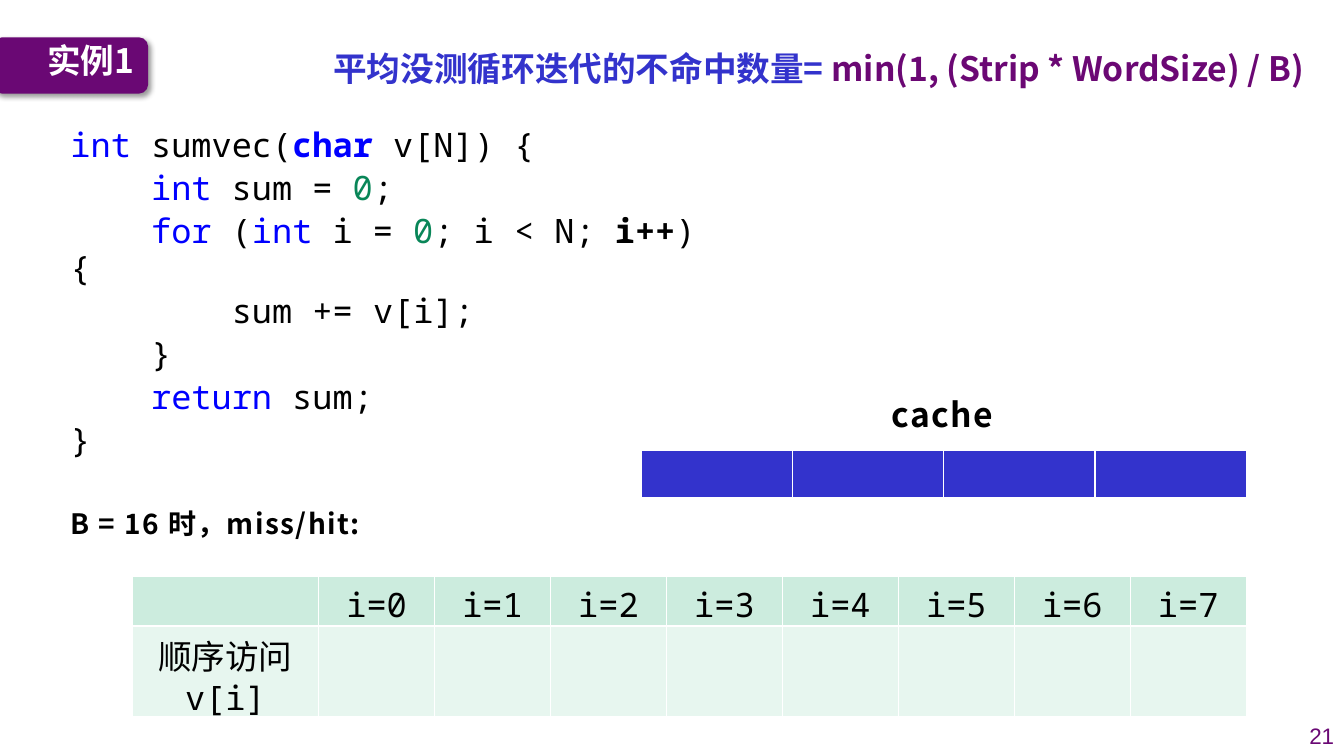
from typing import NamedTuple

from lxml import etree
from pptx import Presentation
from pptx.dml.color import RGBColor
from pptx.enum.shapes import MSO_SHAPE
from pptx.enum.text import MSO_ANCHOR, PP_ALIGN
from pptx.oxml.ns import qn
from pptx.util import Inches, Pt

ROUND = MSO_SHAPE.ROUNDED_RECTANGLE
TOP, MIDDLE = MSO_ANCHOR.TOP, MSO_ANCHOR.MIDDLE
LEFT, CENTER, RIGHT = PP_ALIGN.LEFT, PP_ALIGN.CENTER, PP_ALIGN.RIGHT
SANS, MONO, ARIAL = "Noto Sans CJK SC", "Noto Sans Mono", "Arial"
BLACK, WHITE, PURPLE, NAVY = "000000", "FFFFFF", "6A0874", "3333CC"
BLUE, GREEN = "0000FF", "098658"
MINT, PALE = "CCECDE", "E7F6EF"


class Run(NamedTuple):
    text: str
    color: str = BLACK
    bold: bool = False


class Box(NamedTuple):
    left: float
    top: float
    width: float
    height: float


Line = list[Run]

CODE: list[Line] = [
    [Run("int ", BLUE), Run("sumvec("), Run("char", BLUE, True), Run(" v[N]) {")],
    [Run("    int", BLUE), Run(" sum = "), Run("0", GREEN), Run(";")],
    [Run("    for", BLUE), Run(" ("), Run("int ", BLUE), Run("i = "),
     Run("0", GREEN), Run("; i < N; "), Run("i++", bold=True), Run(") {")],
    [Run("        sum += v[i];")],
    [Run("    }")],
    [Run("    return", BLUE), Run(" sum;")],
    [Run("}")],
]


def rgb(color: str) -> RGBColor:
    return RGBColor.from_string(color)


def write(frame, lines: list[Line], *, size: float = 24, font: str = SANS,
          align=LEFT, space: float = 0, pitch: float = 0.9) -> None:
    for i, line in enumerate(lines):
        para = frame.paragraphs[0] if i == 0 else frame.add_paragraph()
        para.alignment = align
        para.line_spacing = pitch
        if i:
            para.space_before = Pt(size * 0.2)
        for part in line:
            run = para.add_run()
            run.text = part.text
            run.font.size, run.font.bold = Pt(size), part.bold
            run.font.color.rgb = rgb(part.color)
            run.font.name = font
            props = run.font._element
            etree.SubElement(props, qn("a:ea"), typeface=SANS)
            if space:
                props.set("spc", str(int(space * 100)))


def add_text(slide, box: Box, lines: list[Line], *, anchor=TOP,
             wrap: bool = True, **style) -> None:
    frame = slide.shapes.add_textbox(*map(Inches, box)).text_frame
    frame.word_wrap = wrap
    frame.vertical_anchor = anchor
    write(frame, lines, **style)


def add_tab(slide, box: Box) -> None:
    tab = slide.shapes.add_shape(ROUND, *map(Inches, box))
    tab.shadow.inherit = False
    tab.fill.solid()
    tab.fill.fore_color.rgb = rgb(PURPLE)
    tab.line.fill.background()
    # Soft shadow to the lower right
    effects = tab._element.spPr.find(qn("a:effectLst"))
    shade = etree.SubElement(effects, qn("a:outerShdw"), blurRad=str(Pt(4)),
                             dist=str(Pt(3)), dir="2700000", algn="tl",
                             rotWithShape="0")
    color = etree.SubElement(shade, qn("a:srgbClr"), val=BLACK)
    etree.SubElement(color, qn("a:alpha"), val="40000")


def style_cell(cell, color: str, base: float) -> None:
    cell.fill.solid()
    cell.fill.fore_color.rgb = rgb(color)
    props = cell._tc.get_or_add_tcPr()
    for i, (side, width) in enumerate(zip("LRTB", (1, 1, 1, base))):
        edge = etree.Element(qn(f"a:ln{side}"), w=str(Pt(width)))
        fill = etree.SubElement(edge, qn("a:solidFill"))
        etree.SubElement(fill, qn("a:srgbClr"), val=WHITE)
        props.insert(i, edge)


def add_grid(slide, box: Box, cols: list[float], rows: list[float],
             fills: list[str], base: float = 1):
    table = slide.shapes.add_table(len(rows), len(cols), *map(Inches, box)).table
    table.first_row = table.horz_banding = False
    for col, width in zip(table.columns, cols):
        col.width = Inches(width)
    for row, height, color in zip(table.rows, rows, fills):
        row.height = Inches(height)
        for cell in row.cells:
            style_cell(cell, color, base)
    return table


def main() -> None:
    deck = Presentation()
    deck.slide_width, deck.slide_height = Inches(13.33), Inches(7.5)
    slide = deck.slides.add_slide(deck.slide_layouts[6])

    # Page number
    add_text(slide, Box(12.78, 7.1, 0.55, 0.4), [[Run("21", PURPLE)]],
             anchor=MIDDLE, size=16, font=ARIAL, align=RIGHT, pitch=1)

    # Heading tab and formula
    add_tab(slide, Box(-0.07, 0.37, 1.54, 0.56))
    add_text(slide, Box(0.37, 0.35, 1.18, 0.55), [[Run("实例1", WHITE, True)]],
             anchor=MIDDLE)
    add_text(slide, Box(3.02, 0.47, 10.2, 0.5),
             [[Run("平均没测循环迭代的不命中数量= ", NAVY, True),
               Run("min(1, (Strip * WordSize) / B)", "6B0874", True)]],
             align=CENTER)

    # Code and its question
    add_text(slide, Box(0.6, 5.01, 3.25, 0.44),
             [[Run("B = 16 时，miss/hit:", bold=True)]],
             wrap=False, size=20, space=1)
    add_text(slide, Box(0.6, 1.23, 6.79, 3.41), CODE, font=MONO)

    # Access table
    steps = 8
    table = add_grid(slide, Box(1.31, 5.72, 11.03, 1.39),
                     [1.85] + [1.15] * steps, [0.49, 0.9], [MINT, PALE])
    labels = {(0, i + 1): f"i={i}" for i in range(steps)}
    labels[1, 0] = "顺序访问v[i]"
    for (row, col), label in labels.items():
        cell = table.cell(row, col)
        cell.margin_top, cell.margin_bottom = Inches(0.08), Inches(0)
        write(cell.text_frame, [[Run(label)]], font=MONO, align=CENTER)

    # Cache blocks
    add_grid(slide, Box(6.36, 4.47, 5.98, 0.48), [1.5] * 4, [0.48], [NAVY], base=3)
    add_text(slide, Box(6.36, 3.9, 5.98, 0.5), [[Run("cache", bold=True)]],
             align=CENTER, space=1)

    deck.save("out.pptx")


if __name__ == "__main__":
    main()
